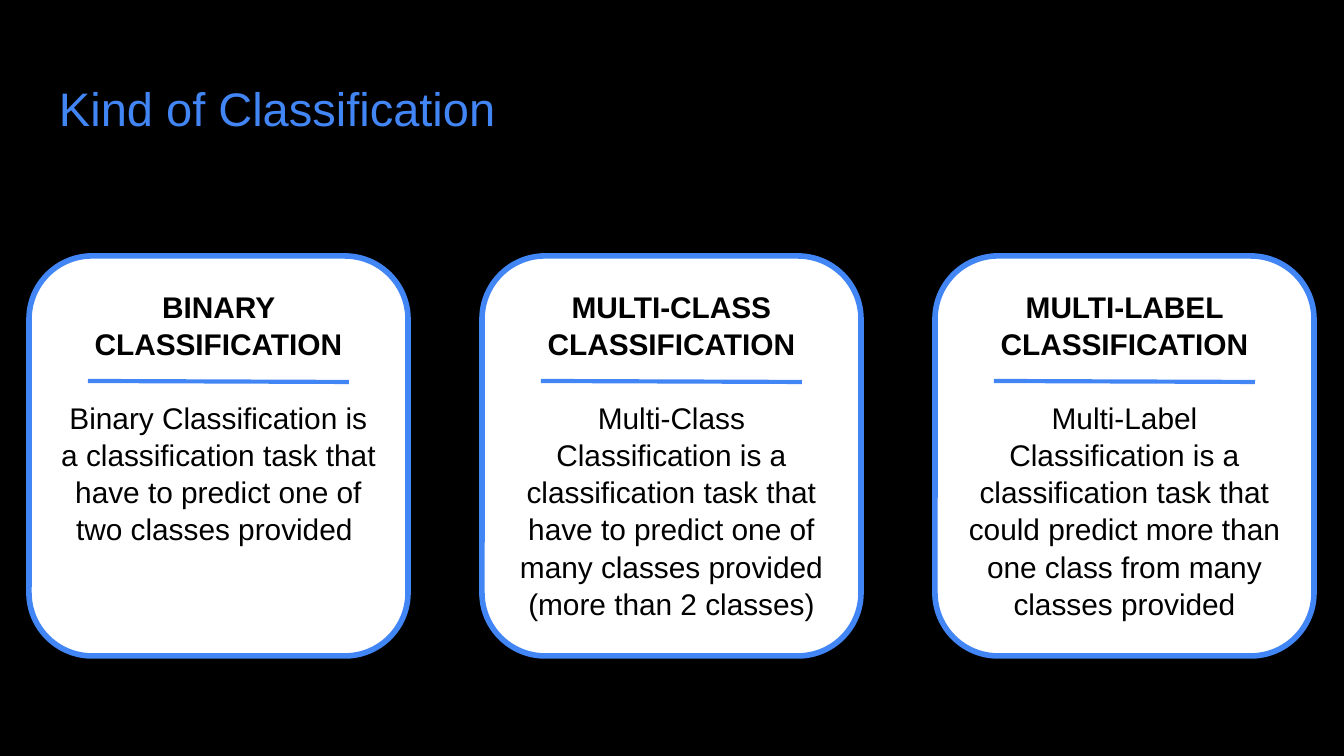
from lxml import etree
from pptx import Presentation, util as u
from pptx.dml.color import RGBColor
from pptx.enum import shapes, text
from pptx.oxml.ns import qn

# Content
TITLE = "Kind of Classification"
CARDS = [
    ("BINARY CLASSIFICATION",
     "Binary Classification is a classification task that have to predict "
     "one of two classes provided "),
    ("MULTI-CLASS CLASSIFICATION",
     "Multi-Class Classification is a classification task that have to predict "
     "one of many classes provided (more than 2 classes)"),
    ("MULTI-LABEL CLASSIFICATION",
     "Multi-Label Classification is a classification task that could predict "
     "more than one class from many classes provided"),
]
COLORS = {"back": "000000", "accent": "4285F4", "card": "FFFFFF", "ink": "000000"}

# Layout in px
PAGE_W, PAGE_H = 1344, 756
TITLE_BOX = (46, 66, 1252, 84)
CARD_LEFT, CARD_TOP, CARD_W, CARD_H, CARD_STEP = 29, 256, 379, 400, 453
RULE_INSET, RULE_W, RULE_Y, RULE_DROP = 59, 261, 381, 1
PADDING, HEADING_GAP = 13, 36


def px(length):
    return u.Emu(round(length * 914400 / 134.4))


def color(name):
    return RGBColor.from_string(COLORS[name])


def prepare(frame, anchor):
    frame.word_wrap = True
    frame.auto_size = text.MSO_AUTO_SIZE.NONE
    frame.vertical_anchor = anchor
    frame.margin_left = frame.margin_right = px(PADDING)
    frame.margin_top = frame.margin_bottom = px(PADDING)


def write(para, words, *, size, ink, bold=False, align=text.PP_ALIGN.CENTER,
          spacing=1.0, after=0):
    para.alignment = align
    para.line_spacing = spacing
    para.space_before = u.Pt(0)
    para.space_after = px(after)
    span = para.add_run()
    span.text = words
    span.font.name = "Arial"
    span.font.size = u.Pt(size)
    span.font.bold = bold
    span.font.color.rgb = color(ink)


deck = Presentation()
deck.slide_width, deck.slide_height = px(PAGE_W), px(PAGE_H)
page = deck.slides.add_slide(deck.slide_layouts[5])
page.background.fill.solid()
page.background.fill.fore_color.rgb = color("back")

# Title
title = page.shapes.title
title.left, title.top, title.width, title.height = map(px, TITLE_BOX)
prepare(title.text_frame, text.MSO_ANCHOR.MIDDLE)
write(title.text_frame.paragraphs[0], TITLE, size=25.2, ink="accent",
      align=text.PP_ALIGN.LEFT)

# Cards, each with a rule under its heading
for index, (heading, body) in enumerate(CARDS):
    left = CARD_LEFT + index * CARD_STEP
    card = page.shapes.add_shape(shapes.MSO_SHAPE.ROUNDED_RECTANGLE,
                                 px(left), px(CARD_TOP), px(CARD_W), px(CARD_H))
    card.shadow.inherit = False
    card.fill.solid()
    card.fill.fore_color.rgb = color("card")
    card.line.color.rgb = color("accent")
    card.line.width = u.Pt(3)
    frame = card.text_frame
    prepare(frame, text.MSO_ANCHOR.TOP)
    write(frame.paragraphs[0], heading, size=16, ink="ink", bold=True,
          spacing=1.04, after=HEADING_GAP)
    write(frame.add_paragraph(), body, size=16, ink="ink", spacing=1.04)

    start = left + RULE_INSET
    rule = page.shapes.add_connector(shapes.MSO_CONNECTOR.STRAIGHT,
                                     px(start), px(RULE_Y),
                                     px(start + RULE_W), px(RULE_Y + RULE_DROP))
    rule.line.color.rgb = color("accent")
    rule.line.width = u.Pt(2.25)
    etree.SubElement(rule._element.spPr, qn("a:effectLst"))

deck.save("out.pptx")
